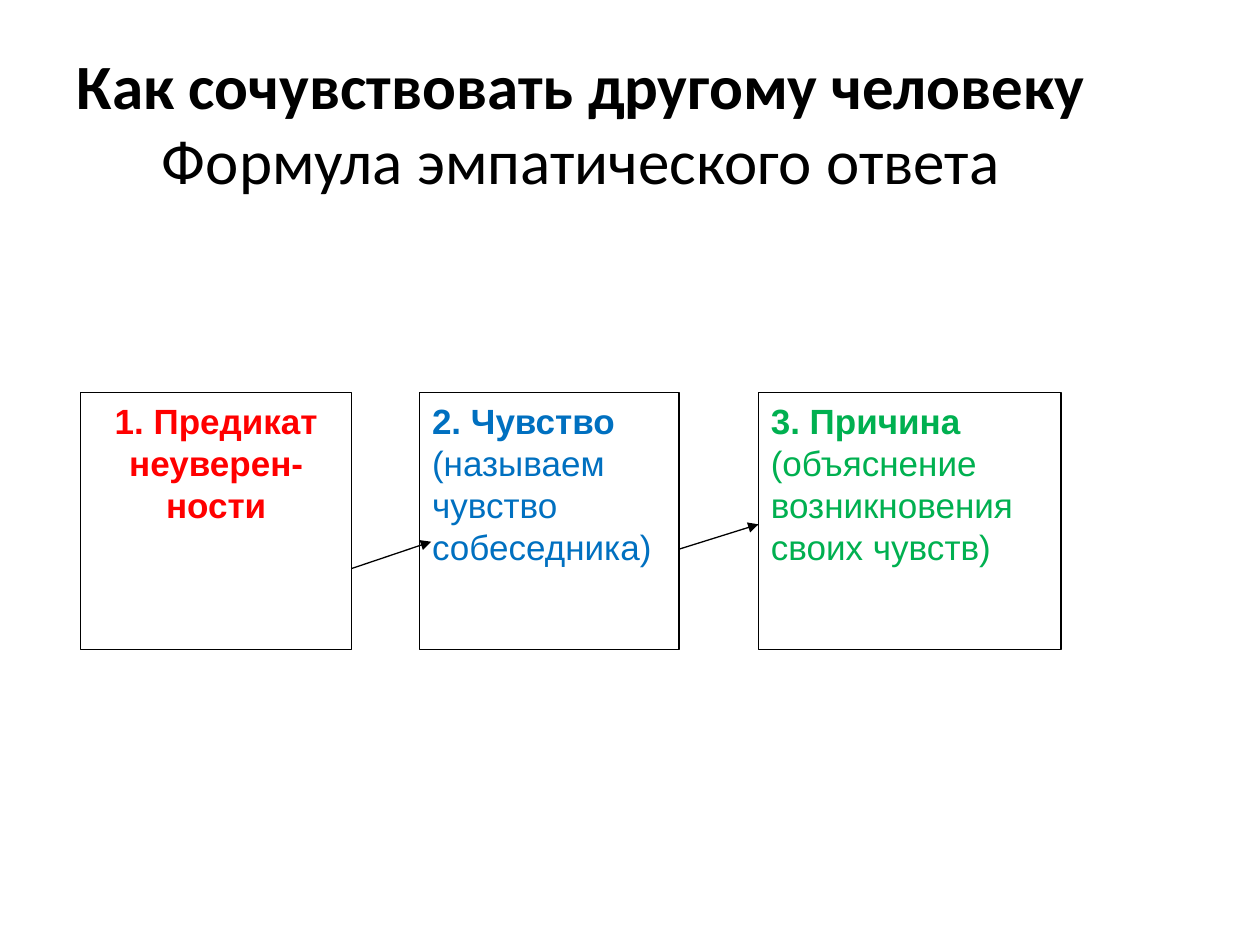
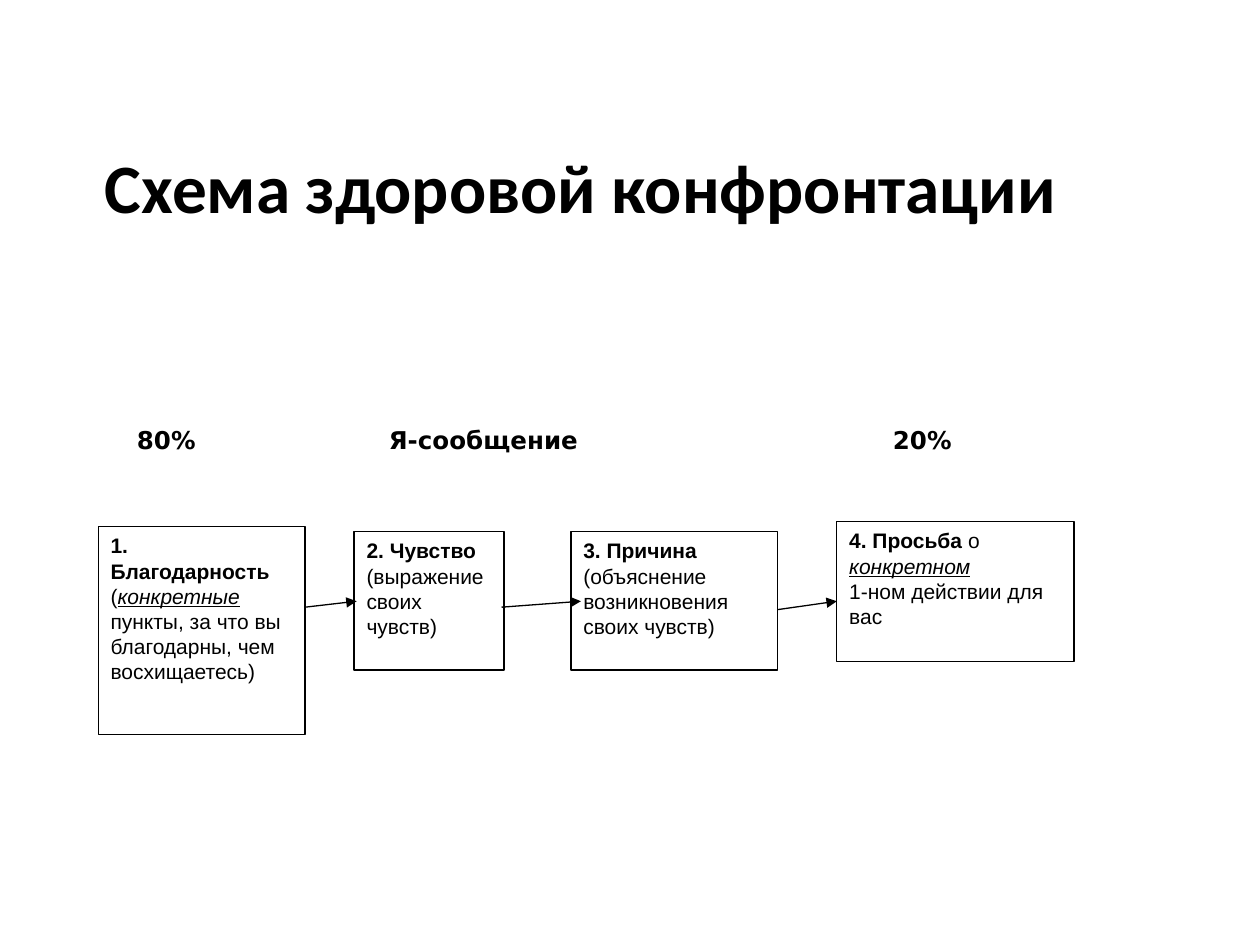
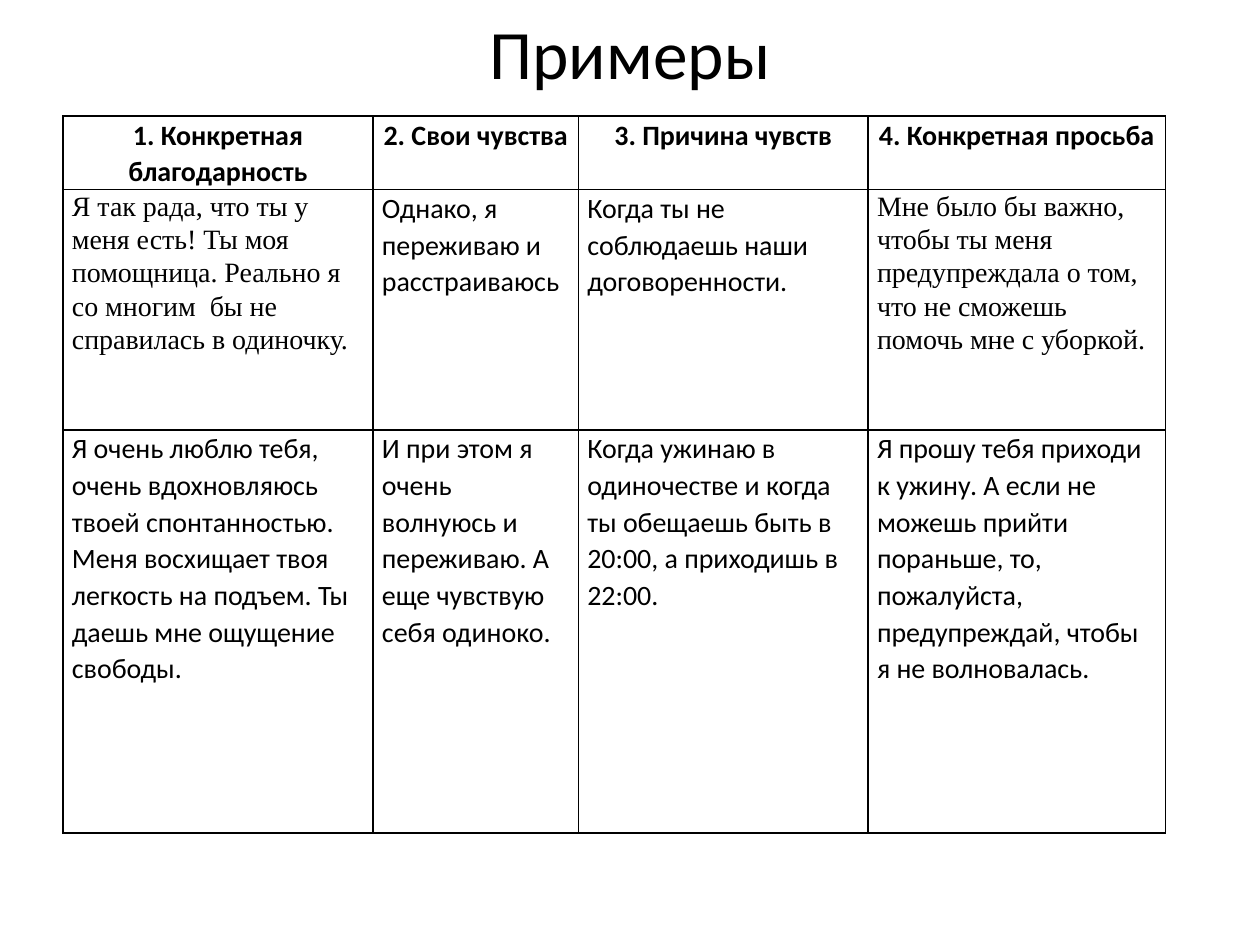
"""Build three slides on empathic answers and healthy confrontation."""
from dataclasses import dataclass
from typing import NamedTuple

from lxml import etree
from pptx import Presentation, util as u
from pptx.dml.color import RGBColor
from pptx.enum import shapes, text
from pptx.oxml import ns


@dataclass(frozen=True)
class Theme:
    black: str = "000000"
    white: str = "FFFFFF"
    red: str = "FF0000"
    blue: str = "0070C0"
    green: str = "00B050"
    heading: str = "Calibri"
    body: str = "Arial"
    label: str = "DejaVu Sans"
    serif: str = "Times New Roman"
    title_size: float = 39.6
    formula_title_size: float = 36
    formula_size: float = 20
    step_size: float = 12
    label_size: float = 14
    table_size: float = 16
    outline: float = 0.75
    border: float = 1


THEME = Theme()
TOP, MIDDLE = text.MSO_ANCHOR.TOP, text.MSO_ANCHOR.MIDDLE
LEFT, CENTER = text.PP_ALIGN.LEFT, text.PP_ALIGN.CENTER


class Area(NamedTuple):
    left: float
    top: float
    width: float
    height: float


class Piece(NamedTuple):
    text: str
    bold: bool = False
    emphasis: bool = False


@dataclass(frozen=True)
class Step:
    area: Area
    paragraphs: list[list[Piece]]
    size: float
    color: str = THEME.black
    align: text.PP_ALIGN = LEFT


class Arrow(NamedTuple):
    start_x: float
    start_y: float
    end_x: float
    end_y: float


def lengths(values) -> list:
    return [u.Cm(value) for value in values]


def style_paragraph(paragraph, name: str, size: float, color: str = THEME.black,
                    align=LEFT, bold: bool | None = None) -> None:
    paragraph.alignment = align
    font = paragraph.font
    font.name, font.size, font.bold = name, u.Pt(size), bold
    font.color.rgb = RGBColor.from_string(color)


def add_title(slide, area: Area, lines: list[Piece], size: float = THEME.title_size,
              anchor=MIDDLE, margin_top: float = 0.13) -> None:
    title = slide.shapes.title
    title.left, title.top, title.width, title.height = lengths(area)
    frame = title.text_frame
    frame.auto_size = text.MSO_AUTO_SIZE.NONE
    frame.vertical_anchor = anchor
    frame.margin_top = u.Cm(margin_top)
    paragraph = frame.paragraphs[0]
    style_paragraph(paragraph, THEME.heading, size, align=CENTER)
    for index, line in enumerate(lines):
        if index:
            paragraph.add_line_break()
        run = paragraph.add_run()
        run.text, run.font.bold = line.text, line.bold


def add_step(slide, step: Step) -> None:
    shape = slide.shapes.add_shape(shapes.MSO_SHAPE.RECTANGLE, *lengths(step.area))
    shape.shadow.inherit = False
    shape.fill.solid()
    shape.fill.fore_color.rgb = RGBColor.from_string(THEME.white)
    shape.line.color.rgb = RGBColor.from_string(THEME.black)
    shape.line.width = u.Pt(THEME.outline)
    frame = shape.text_frame
    frame.word_wrap = True
    frame.vertical_anchor = TOP
    for index, pieces in enumerate(step.paragraphs):
        paragraph = frame.add_paragraph() if index else frame.paragraphs[0]
        style_paragraph(paragraph, THEME.body, step.size, step.color, step.align)
        for piece in pieces:
            run = paragraph.add_run()
            run.text, run.font.bold = piece.text, piece.bold
            if piece.emphasis:
                run.font.italic = run.font.underline = True


def add_arrow(slide, arrow: Arrow) -> None:
    connector = slide.shapes.add_connector(shapes.MSO_CONNECTOR.STRAIGHT, *lengths(arrow))
    connector.line.color.rgb = RGBColor.from_string(THEME.black)
    connector.line.width = u.Pt(THEME.outline)
    etree.SubElement(connector.line._get_or_add_ln(), ns.qn("a:tailEnd"), type="triangle")
    etree.SubElement(connector._element.spPr, ns.qn("a:effectLst"))


def add_labels(slide, area: Area, labels: list[str], stops: list[float]) -> None:
    frame = slide.shapes.add_textbox(*lengths(area)).text_frame
    frame.word_wrap = True
    frame.vertical_anchor = MIDDLE
    frame.margin_bottom = u.Cm(0.38)
    paragraph = frame.paragraphs[0]
    paragraph.add_run().text = "\t".join(labels)
    tabs = etree.SubElement(paragraph._p.get_or_add_pPr(), ns.qn("a:tabLst"))
    for stop in stops:
        etree.SubElement(tabs, ns.qn("a:tab"), pos=str(u.Cm(stop)), algn="l")
    style_paragraph(paragraph, THEME.label, THEME.label_size, bold=True)


def add_borders(cell) -> None:
    properties = cell._tc.get_or_add_tcPr()
    for side in ("lnL", "lnR", "lnT", "lnB"):
        line = etree.SubElement(properties, ns.qn(f"a:{side}"), w=str(u.Pt(THEME.border)))
        fill = etree.SubElement(line, ns.qn("a:solidFill"))
        etree.SubElement(fill, ns.qn("a:srgbClr"), val=THEME.black)


def add_examples(slide, left: float, top: float, widths: list[float],
                 heights: list[float], rows: list[list[str]],
                 serif_cells: set[tuple[int, int]]) -> None:
    area = Area(left, top, sum(widths), sum(heights))
    table = slide.shapes.add_table(len(rows), len(widths), *lengths(area)).table
    table.first_row = table.horz_banding = False
    for column, width in zip(table.columns, widths):
        column.width = u.Cm(width)
    for row_index, (row, height) in enumerate(zip(table.rows, heights)):
        row.height = u.Cm(height)
        header = row_index == 0
        for column_index, cell in enumerate(row.cells):
            cell.margin_left = cell.margin_right = u.Cm(0.18)
            cell.margin_top = cell.margin_bottom = 0
            add_borders(cell)
            cell.fill.background()
            cell.text = rows[row_index][column_index]
            paragraph = cell.text_frame.paragraphs[0]
            paragraph.line_spacing = 1.07
            serif = (row_index, column_index) in serif_cells
            style_paragraph(paragraph, THEME.serif if serif else THEME.heading,
                            THEME.table_size, align=CENTER if header else LEFT, bold=header)


def add_diagram(slide, steps: list[Step], arrows: list[Arrow]) -> None:
    for step in steps:
        add_step(slide, step)
    for arrow in arrows:
        add_arrow(slide, arrow)


def build_formula(slide) -> None:
    add_title(slide, Area(0.28, 0.33, 22.86, 5.84),
              [Piece("Как сочувствовать другому человеку", True),
               Piece("Формула эмпатического ответа")],
              THEME.formula_title_size, TOP, 0.6)
    contents = [
        (5.46, THEME.red, CENTER, [Piece("1. Предикат неуверен-ности", True)]),
        (5.23, THEME.blue, LEFT,
         [Piece("2. Чувство", True), Piece(" (называем чувство собеседника)")]),
        (6.1, THEME.green, LEFT,
         [Piece("3. Причина", True), Piece(" (объяснение возникновения своих чувств)")]),
    ]
    steps = [Step(Area(1.63 + 6.83 * index, 7.92, width, 5.18), [pieces],
                  THEME.formula_size, color, align)
             for index, (width, color, align, pieces) in enumerate(contents)]
    add_diagram(slide, steps, [Arrow(13.69, 11.07, 15.29, 10.57),
                               Arrow(7.09, 11.46, 8.69, 10.92)])


def build_confrontation(slide) -> None:
    add_title(slide, Area(0.28, 2.9, 22.86, 3.18),
              [Piece("Схема здоровой конфронтации", True)], anchor=TOP, margin_top=0)
    contents = [
        (Area(1.98, 10.62, 4.17, 4.19),
         [[Piece("1. Благодарность", True)],
          [Piece("("), Piece("конкретные ", emphasis=True),
           Piece("пункты, за что вы благодарны, чем восхищаетесь)")]]),
        (Area(7.14, 10.72, 3.02, 2.79),
         [[Piece("2. Чувство", True), Piece(" (выражение своих чувств)")]]),
        (Area(11.51, 10.72, 4.17, 2.79),
         [[Piece("3. Причина", True), Piece(" (объяснение возникновения своих чувств)")]]),
        (Area(16.87, 10.52, 4.78, 2.82),
         [[Piece("4. Просьба", True), Piece(" о "), Piece("конкретном", emphasis=True)],
          [Piece("1-ном действии для вас")]]),
    ]
    steps = [Step(area, paragraphs, THEME.step_size) for area, paragraphs in contents]
    add_diagram(slide, steps, [Arrow(10.11, 12.24, 11.71, 12.12),
                               Arrow(6.15, 12.24, 7.19, 12.12),
                               Arrow(15.67, 12.29, 16.87, 12.12)])
    add_labels(slide, Area(2.51, 7.95, 17.25, 2.08),
               ["80%", "Я-сообщение", "20%"], [5.08, 15.24])


def build_examples(slide) -> None:
    add_title(slide, Area(1.27, 0.76, 22.86, 0.56), [Piece("Примеры")])
    rows = [
        ["1. Конкретная благодарность", "2. Свои чувства",
         "3. Причина чувств", "4. Конкретная просьба"],
        ["Я так рада, что ты у меня есть! Ты моя помощница. "
         "Реально я со многим  бы не справилась в одиночку.",
         "Однако, я переживаю и расстраиваюсь",
         "Когда ты не соблюдаешь наши договоренности.",
         "Мне было бы важно, чтобы ты меня предупреждала о том, "
         "что не сможешь помочь мне с уборкой."],
        ["Я очень люблю тебя, очень вдохновляюсь твоей спонтанностью. "
         "Меня восхищает твоя легкость на подъем. Ты даешь мне ощущение свободы.",
         "И при этом я очень волнуюсь и переживаю. А еще чувствую себя одиноко.",
         "Когда ужинаю в одиночестве и когда ты обещаешь быть в 20:00, "
         "а приходишь в 22:00.",
         "Я прошу тебя приходи к ужину. А если не можешь прийти пораньше, то, "
         "пожалуйста, предупреждай, чтобы я не волновалась."],
    ]
    add_examples(slide, 1.27, 2.34, [6.25, 4.14, 5.84, 5.99], [1.37, 4.85, 8.13],
                 rows, {(1, 0), (1, 3)})


def main() -> None:
    presentation = Presentation()
    presentation.slide_width, presentation.slide_height = u.Cm(25.4), u.Cm(19.05)
    title_only = presentation.slide_layouts[5]
    for build in (build_formula, build_confrontation, build_examples):
        build(presentation.slides.add_slide(title_only))
    presentation.save("out.pptx")


if __name__ == "__main__":
    main()
